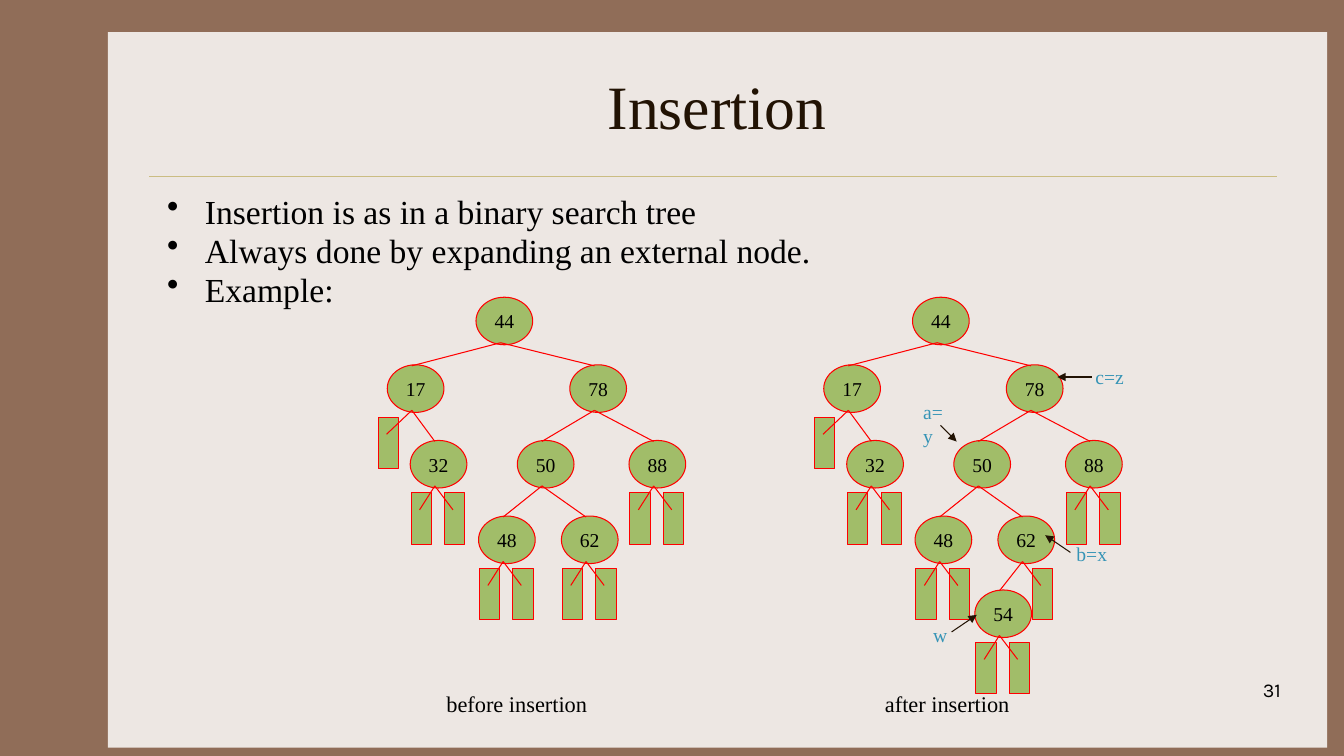
"""Build the slide on insertion into a balanced binary search tree."""
from lxml import etree
from pptx import Presentation
from pptx.dml.color import RGBColor
from pptx.enum.shapes import MSO_CONNECTOR, MSO_SHAPE
from pptx.enum.text import MSO_ANCHOR, PP_ALIGN
from pptx.oxml.ns import qn
from pptx.util import Pt

STRAIGHT = MSO_CONNECTOR.STRAIGHT
OVAL, RECTANGLE = MSO_SHAPE.OVAL, MSO_SHAPE.RECTANGLE
MIDDLE, TOP = MSO_ANCHOR.MIDDLE, MSO_ANCHOR.TOP
LEFT, CENTER, RIGHT = PP_ALIGN.LEFT, PP_ALIGN.CENTER, PP_ALIGN.RIGHT

SERIF = "Times New Roman"
BROWN, PANEL, GOLD, DARK = "906D58", "EDE7E3", "CBBD83", "221304"
GREEN, RED, BLUE, BLACK = "A1BD69", "FF0000", "3694B6", "000000"

NODE_WIDTH, NODE_HEIGHT = 40.5, 34
LEAF_WIDTH, LEAF_HEIGHT, LEAF_DROP = 14.5, 36.7, 37.4
EDGE_X, EDGE_TOP, EDGE_BOTTOM = 17.6, 0.7, 32.5
LEAF_EDGE_X, LEAF_EDGE_Y = 6, 12.2
AFTER_SHIFT = 311.8

NODES = {
    "44": (340, 212.3), "17": (276.6, 260.6), "78": (407, 260.6),
    "32": (293, 314.6), "50": (369.5, 314.6), "88": (449.3, 314.6),
    "48": (341.8, 368.6), "62": (401, 368.6), "54": (384.5, 421.4),
}
TWO_LEAVES = (0.7, 24.6)
BEFORE = {
    "44": ("17", "78"), "17": (-6.5, "32"), "78": ("50", "88"),
    "32": TWO_LEAVES, "50": ("48", "62"), "88": TWO_LEAVES,
    "48": TWO_LEAVES, "62": TWO_LEAVES,
}
AFTER = {**BEFORE, "62": ("54", 24.6), "54": TWO_LEAVES}

BULLETS = (
    "Insertion is as in a binary search tree",
    "Always done by expanding an external node.",
    "Example:",
)
POINTERS = (
    ("w", (659.5, 441.4, 24.5, 24), (679.7, 451.4), (697.7, 439.2)),
    ("b=x", (761.8, 383.8, 36.7, 24), (764.6, 394.6), (746.6, 382.3)),
    ("a=y", (652.3, 282.2, 35.3, 24), (671.8, 303.8), (683.3, 315.4)),
    ("c=z", (775.4, 257, 34.6, 24), (779.8, 269.3), (755.3, 269.3)),
)
CAPTIONS = (
    ("before insertion", (311.8, 489.6, 116, 26.6)),
    ("after insertion", (625, 489.6, 104.4, 26.6)),
)


def rgb(color):
    """Return the colour for a hex string."""
    return RGBColor.from_string(color)


def style(paragraph, size, color=BLACK, align=LEFT, font=SERIF):
    """Set font and alignment of a paragraph."""
    paragraph.alignment = align
    paragraph.font.name = font
    paragraph.font.size = Pt(size)
    paragraph.font.color.rgb = rgb(color)


def add_block(shapes, kind, box, fill, outline=None):
    """Add a filled preset shape."""
    block = shapes.add_shape(kind, *map(Pt, box))
    block.shadow.inherit = False
    block.fill.solid()
    block.fill.fore_color.rgb = rgb(fill)
    if outline:
        block.line.color.rgb = rgb(outline)
        block.line.width = Pt(0.75)
    else:
        block.line.fill.background()
    return block


def add_line(shapes, start, end, color, width=0.75, arrow=False):
    """Add a straight line, with an arrowhead at its end on request."""
    line = shapes.add_connector(STRAIGHT, *map(Pt, (*start, *end)))
    line.line.color.rgb = rgb(color)
    line.line.width = Pt(width)
    if arrow:
        outline = line.line._get_or_add_ln()
        etree.SubElement(outline, qn("a:tailEnd"), type="triangle")
    etree.SubElement(line.element.spPr, qn("a:effectLst"))


def add_label(shapes, text, box, size, color=BLACK, align=LEFT, font=SERIF):
    """Add a one-line text box."""
    label = shapes.add_textbox(*map(Pt, box))
    label.text_frame.word_wrap = align == RIGHT
    label.text_frame.text = text
    style(label.text_frame.paragraphs[0], size, color, align, font)


def add_bullets(shapes, items, box):
    """Add a bulleted list."""
    frame = shapes.add_textbox(*map(Pt, box)).text_frame
    frame.word_wrap = True
    frame.vertical_anchor = TOP
    frame.text = "\n".join(items)
    for paragraph in frame.paragraphs:
        style(paragraph, 24)
        paragraph.line_spacing = 0.8
        paragraph.space_before = Pt(5)
        properties = paragraph._p.get_or_add_pPr()
        properties.set("marL", str(Pt(27)))
        properties.set("indent", str(-Pt(27)))
        bullet = etree.Element(qn("a:buChar"), char="•")
        properties.find(qn("a:defRPr")).addprevious(bullet)


def add_node(shapes, key, left, top):
    """Add an internal node holding its key."""
    node = add_block(shapes, OVAL, (left, top, NODE_WIDTH, NODE_HEIGHT), GREEN, RED)
    frame = node.text_frame
    frame.margin_left = frame.margin_right = 0
    frame.margin_top = frame.margin_bottom = 0
    frame.word_wrap = False
    frame.vertical_anchor = MIDDLE
    frame.text = key
    style(frame.paragraphs[0], 14, BLACK, CENTER)


def add_tree(slide, tree, shift):
    """Add a tree whose children are keys or the offsets of leaves."""
    shapes = slide.shapes.add_group_shape().shapes
    edges = []
    for key, children in tree.items():
        left, top = NODES[key][0] + shift, NODES[key][1]
        add_node(shapes, key, left, top)
        for child in children:
            if child in NODES:
                child_left, child_top = NODES[child]
                end = (child_left + shift + EDGE_X, child_top + EDGE_TOP)
            else:
                leaf_left, leaf_top = left + child, top + LEAF_DROP
                add_block(shapes, RECTANGLE,
                          (leaf_left, leaf_top, LEAF_WIDTH, LEAF_HEIGHT), GREEN, RED)
                end = (leaf_left + LEAF_EDGE_X, leaf_top + LEAF_EDGE_Y)
            edges.append(((left + EDGE_X, top + EDGE_BOTTOM), end))
    for start, end in edges:
        add_line(shapes, start, end, RED)


def set_title(title, text, box):
    """Place and format the title."""
    title.left, title.top, title.width, title.height = map(Pt, box)
    title.text_frame.text = text
    title.text_frame.vertical_anchor = MIDDLE
    style(title.text_frame.paragraphs[0], 44, DARK, CENTER)


def main():
    """Build and save the slide."""
    deck = Presentation()
    deck.slide_width, deck.slide_height = Pt(960), Pt(540)
    slide = deck.slides.add_slide(deck.slide_layouts[5])
    shapes = slide.shapes
    slide.background.fill.solid()
    slide.background.fill.fore_color.rgb = rgb(BROWN)

    panel = add_block(shapes, RECTANGLE, (77, 23, 871, 511), PANEL)
    shapes.title.element.addprevious(panel.element)
    add_line(shapes, (106.6, 126), (912.2, 126), GOLD, 0.25)
    set_title(shapes.title, "Insertion", (112.3, 30.2, 800, 90))
    add_bullets(shapes, BULLETS, (112.3, 138.2, 800, 324))
    add_label(shapes, "31", (722, 481, 200, 36), 14, BLACK, RIGHT, "Karla")

    add_tree(slide, AFTER, AFTER_SHIFT)
    for text, box, start, end in POINTERS:
        add_label(shapes, text, box, 14, BLUE)
        add_line(shapes, start, end, DARK, arrow=True)
    add_tree(slide, BEFORE, 0)
    for text, box in CAPTIONS:
        add_label(shapes, text, box, 16)
    deck.save("out.pptx")


if __name__ == "__main__":
    main()
